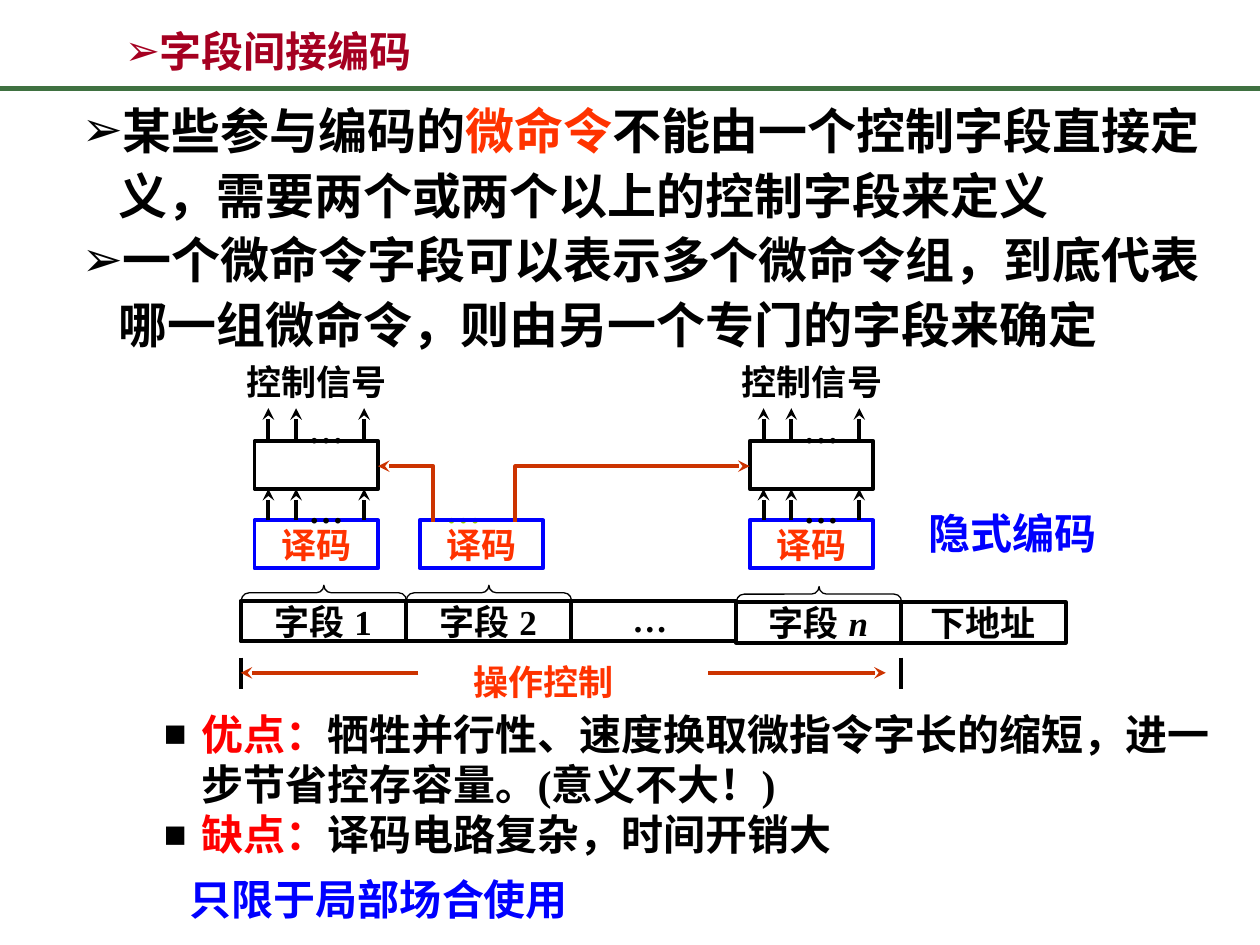
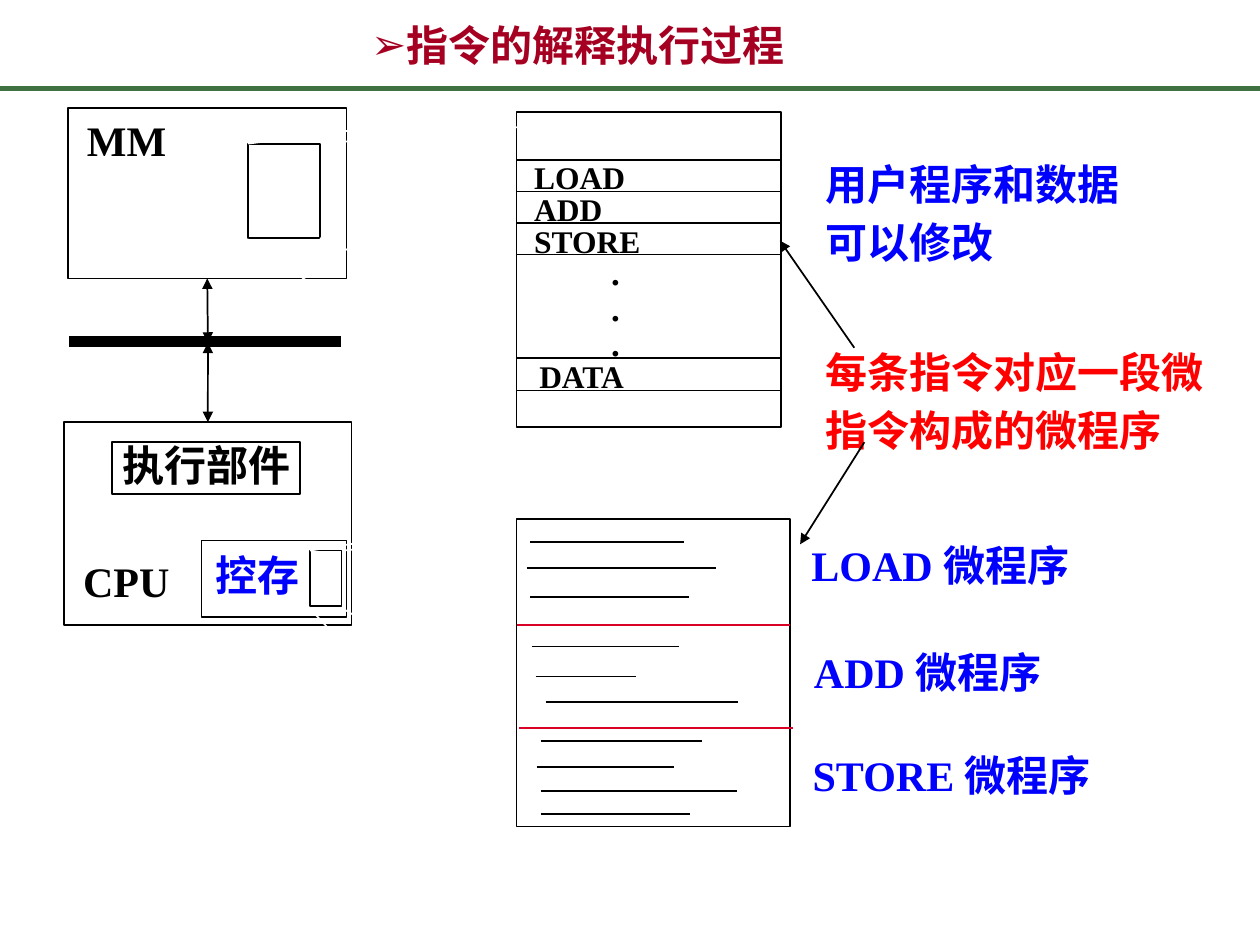
from dataclasses import dataclass

from lxml import etree
from pptx import Presentation
from pptx.dml.color import RGBColor
from pptx.enum.shapes import MSO_CONNECTOR, MSO_SHAPE
from pptx.enum.text import MSO_ANCHOR, MSO_AUTO_SIZE, PP_ALIGN
from pptx.oxml.ns import qn
from pptx.util import Inches, Pt

STRAIGHT = MSO_CONNECTOR.STRAIGHT
RECT, BRACE = MSO_SHAPE.RECTANGLE, MSO_SHAPE.LEFT_BRACE
TOP, MIDDLE = MSO_ANCHOR.TOP, MSO_ANCHOR.MIDDLE
LEFT, CENTER = PP_ALIGN.LEFT, PP_ALIGN.CENTER
NONE, GROW = MSO_AUTO_SIZE.NONE, MSO_AUTO_SIZE.SHAPE_TO_FIT_TEXT


@dataclass(frozen=True)
class Theme:
    """Colours, fonts, type sizes, line widths and insets."""
    black: str = "000000"
    white: str = "FFFFFF"
    blue: str = "0000FF"
    red: str = "FF0000"
    orange: str = "FF3300"
    rust: str = "CC3300"
    lime: str = "99CC00"
    crimson: str = "D90125"
    title: str = "A50021"
    band: str = "3F7141"
    serif: str = "Times New Roman"
    sans: str = "Arial"
    cjk: str = "Noto Sans CJK JP"
    lead: int = 28
    head: int = 24
    mid: int = 20
    small: int = 18
    thick: float = 2.25
    thin: float = 1
    wide: tuple = (0.1, 0.05)
    snug: tuple = (0.07, 0.03)


T = Theme()


def mark(para, char, hang=0.0, size=None):
    """Give a paragraph a bullet and a hanging indent."""
    props = para._p.get_or_add_pPr()
    props.set("marL", str(Inches(hang)))
    props.set("indent", str(-Inches(hang)))
    if size:
        tint = etree.SubElement(props, qn("a:buClr"))
        etree.SubElement(tint, qn("a:srgbClr"), val=T.black)
        etree.SubElement(props, qn("a:buSzPct"), val=str(size * 1000))
    etree.SubElement(props, qn("a:buFont"), typeface=T.sans)
    etree.SubElement(props, qn("a:buChar"), char=char)


def write(frame, paras, size, color=T.black, font=T.serif, space=None,
          align=LEFT, pad=T.wide, anchor=TOP, wrap=True, fit=NONE):
    """Fill a text frame with paragraphs of plain text or coloured runs."""
    frame.margin_left = frame.margin_right = Inches(pad[0])
    frame.margin_top = frame.margin_bottom = Inches(pad[1])
    frame.vertical_anchor, frame.word_wrap = anchor, wrap
    frame.auto_size = fit
    for i, parts in enumerate(paras):
        para = frame.add_paragraph() if i else frame.paragraphs[0]
        para.alignment = align
        para.space_before = Pt(0)
        if space:
            para.line_spacing = space
        for words, tint in [(parts, color)] if isinstance(parts, str) else parts:
            run = para.add_run()
            run.text = words
            run.font.size, run.font.bold = Pt(size), True
            run.font.color.rgb = RGBColor.from_string(tint)
            run.font.name = font
            etree.SubElement(run._r.rPr, qn("a:ea"), typeface=T.sans)


def label(slide, box, paras, size, color=T.black, wrap=False, **style):
    """Add a text box that grows with its text."""
    text = slide.shapes.add_textbox(*map(Inches, box))
    write(text.text_frame, paras, size, color, wrap=wrap, fit=GROW, **style)
    return text


def ink(shape, color, width):
    """Set the line of a shape without fill or shadow."""
    shape.shadow.inherit = False
    shape.fill.background()
    shape.line.color.rgb = RGBColor.from_string(color)
    shape.line.width = Pt(width)


def frame(slide, box, color=T.black, width=T.thin, kind=RECT):
    """Add an unfilled outline."""
    shape = slide.shapes.add_shape(kind, *map(Inches, box))
    ink(shape, color, width)
    return shape


def tip(shape, head=None, tail=None):
    """Put arrowheads on the ends of a line."""
    pen = shape.line._get_or_add_ln()
    for tag, kind in (("a:headEnd", head), ("a:tailEnd", tail)):
        if kind:
            etree.SubElement(pen, qn(tag), type=kind)


def rule(slide, ends, color=T.black, width=T.thin, head=None, tail=None):
    """Add a straight line from one point to another."""
    line = slide.shapes.add_connector(STRAIGHT, *map(Inches, ends))
    line.line.color.rgb = RGBColor.from_string(color)
    line.line.width = Pt(width)
    etree.SubElement(line.element.spPr, qn("a:effectLst"))
    tip(line, head, tail)
    return line


def place(shape, box):
    """Move a placeholder to a box."""
    shape.left, shape.top, shape.width, shape.height = map(Inches, box)


def title(slide, box, words, align, pad):
    """Place the slide title with its arrow bullet."""
    place(slide.shapes.title, box)
    text = slide.shapes.title.text_frame
    write(text, [words], T.head, T.title, T.sans, 0.87, align, pad)
    mark(text.paragraphs[0], "➢")


def band(prs, slide):
    """Draw the green rule and move it to the master."""
    line = rule(slide, (0, 0.7, 10, 0.7), T.band, 3)
    line.element.nvCxnSpPr.cNvPr.id = 99
    prs.slide_master.shapes.element.append(line.element)


def decoder(slide, x, y):
    """Add a blue decoder box."""
    box = frame(slide, (x, y, 0.98, 0.38), T.blue, T.thick)
    write(box.text_frame, ["译码"], T.mid, T.orange, align=CENTER,
          anchor=MIDDLE, wrap=False)


def stack(slide, x, y):
    """Draw control signals above a gate and its decoder."""
    label(slide, (x - 0.16, y, 1.33, 0.44), ["控制信号"], T.mid, wrap=True)
    frame(slide, (x, y + 0.69, 0.98, 0.38), width=T.thick)
    decoder(slide, x, y + 1.32)
    for base in (y + 0.68, y + 1.32):
        for dx in (0.11, 0.33, 0.87):
            rule(slide, (x + dx, base, x + dx, base - 0.25),
                 width=T.thick, tail="stealth")
        label(slide, (x + 0.33, base - 0.3, 0.48, 0.44), ["…"], T.mid)


def fields(slide, x, y, wide=1.31):
    """Draw the row of instruction fields with braces above."""
    names = ("字段 1", "字段 2", None, [("字段 ", T.black), ("n", T.black)], "下地址")
    for i, name in enumerate(names):
        left, top = x + i * wide, y + (0.01 if i > 2 else 0)
        box = frame(slide, (left, top, wide, 0.32), width=T.thick)
        if name:
            write(box.text_frame, [name], T.mid, align=CENTER,
                  anchor=MIDDLE, wrap=False)
        if i == 3:
            box.text_frame.paragraphs[0].runs[1].font.italic = True
        if i in (0, 1, 3):
            brace = frame(slide, (left + 0.6, top - 0.72, 0.12, wide),
                          width=0.75, kind=BRACE)
            brace.rotation = 90
            brace.adjustments[0] = brace.adjustments[1] = 0.5
    label(slide, (x + 3.01, y - 0.08, 0.48, 0.44), ["…"], T.mid)


def span(slide, x, y):
    """Mark the extent of the operation control part."""
    for dx in (0, 5.24):
        rule(slide, (x + dx, y, x + dx, y + 0.25), width=T.thick)
    for start, end in ((1.41, 0), (3.71, 5.12)):
        rule(slide, (x + start, y + 0.12, x + end, y + 0.12), T.rust,
             T.thick, tail="stealth")
    label(slide, (x + 1.75, y - 0.03, 1.32, 0.44), ["操作控制"], T.mid,
          T.orange, wrap=True)


def elbow(slide, x, y, end):
    """Draw a bent arrow up and then sideways."""
    start, low, high, stop = map(Inches, (x, y, y - 0.44, end))
    path = slide.shapes.build_freeform(start, low)
    path.add_line_segments([(start, high), (stop, high)], close=False)
    shape = path.convert_to_shape()
    ink(shape, T.rust, T.thick)
    tip(shape, tail="stealth")


def coding(slide):
    """Build the slide on indirect field coding."""
    title(slide, (0.89, 0.21, 5.51, 0.45), "字段间接编码", LEFT, T.wide)
    body = slide.placeholders[1]
    place(body, (0.55, 0.7, 9.14, 1.97))
    write(body.text_frame, [
        [("某些参与编码的", T.black), ("微命令", T.orange),
         ("不能由一个控制字段直接定义，需要两个或两个以上的控制字段来定义", T.black)],
        "一个微命令字段可以表示多个微命令组，到底代表哪一组微命令，则由另一个专门的字段来确定",
    ], T.lead, space=1.1)
    for para in body.text_frame.paragraphs:
        mark(para, "➢", 0.29)
    label(slide, (3.44, 3.83, 0.48, 0.43), ["…"], T.mid, T.lime)
    for x in (2.02, 5.95):
        stack(slide, x, 2.81)
    decoder(slide, 3.33, 4.13)
    fields(slide, 1.91, 4.77)
    span(slide, 1.91, 5.22)
    for x, end in ((3.44, 3), (4.09, 5.95)):
        elbow(slide, x, 4.14, end)
    notes = label(slide, (1.3, 5.62, 8.43, 1.21), [
        [("优点：", T.red),
         ("牺牲并行性、速度换取微指令字长的缩短，进一步节省控存容量。(意义不大！)", T.black)],
        [("缺点：", T.red), ("译码电路复杂，时间开销大", T.black)],
    ], T.head, wrap=True, pad=(0, 0))
    for para in notes.text_frame.paragraphs:
        mark(para, "■", 0.3, 90)
    for box, words in (((1.41, 6.88, 3.23, 0.51), "只限于局部场合使用"),
                       ((7.27, 3.98, 1.55, 0.51), "隐式编码")):
        label(slide, box, [words], T.head, T.blue, font=T.cjk)


def machine(slide, x, y):
    """Draw main memory, the bus and the processor."""
    store = frame(slide, (x + 0.03, y, 2.21, 1.35))
    frame(slide, (x + 1.46, y + 0.28, 0.57, 0.75))
    cpu = frame(slide, (x, y + 2.49, 2.28, 1.61))
    unit = frame(slide, (x + 0.38, y + 2.65, 1.49, 0.41))
    write(unit.text_frame, ["执行部件"], T.head, space=0.88, align=CENTER,
          pad=T.snug, anchor=MIDDLE, wrap=False)
    frame(slide, (x + 1.09, y + 3.43, 1.15, 0.61))
    frame(slide, (x + 1.95, y + 3.51, 0.25, 0.44))
    rule(slide, (x + 0.04, y + 1.85, x + 2.2, y + 1.85), width=6)
    for box, side, edge in ((store, 2, 1.35), (cpu, 0, 2.49)):
        link = rule(slide, (x + 1.14, y + edge, x + 1.14, y + 1.86),
                    head="triangle", tail="triangle")
        link.begin_connect(box, side)
    for dx, dy, wide, words, tint, space in (
            (0.11, 0.08, 0.77, "MM", T.black, 0.85),
            (0.08, 3.58, 0.83, "CPU", T.black, 0.85),
            (1.13, 3.52, 0.81, "控存", T.blue, 0.9)):
        label(slide, (x + dx, y + dy, wide, 0.4), [words], T.head, tint,
              space=space, pad=T.snug)


def memory(slide, x, y):
    """Draw the user program held in main memory."""
    frame(slide, (x, y, 2.1, 2.5))
    for dy in (0.38, 0.63, 0.88, 1.13, 1.95, 2.21):
        rule(slide, (x, y + dy, x + 2.09, y + dy))
    label(slide, (x + 0.07, y + 0.38, 1.87, 0.83), ["LOAD", "ADD", "STORE"],
          T.small, wrap=True, space=0.85, pad=T.snug)
    label(slide, (x + 0.11, y + 1.96, 0.82, 0.31), ["DATA"], T.small,
          space=0.85, pad=T.snug)
    label(slide, (x + 0.68, y + 1.12, 0.21, 0.91), ["."] * 3, T.mid,
          space=0.85, pad=T.snug)


def micro(slide, x, y):
    """Draw the microprograms held in control memory."""
    frame(slide, (x, y, 2.17, 2.44))
    for dx, dy in ((0, 0.84), (0.02, 1.66)):
        rule(slide, (x + dx, y + dy, x + dx + 2.17, y + dy), T.crimson)
    for dx, dy, wide in (
            (0.11, 0.18, 1.22), (0.08, 0.39, 1.5), (0.11, 0.62, 1.26),
            (0.12, 1.01, 1.17), (0.15, 1.25, 0.8), (0.23, 1.45, 1.53),
            (0.19, 1.76, 1.28), (0.16, 1.97, 1.09), (0.19, 2.16, 1.56),
            (0.19, 2.34, 1.19)):
        rule(slide, (x + dx, y + dy, x + dx + wide, y + dy))
    for dx, dy, name in ((2.27, 0.19, "LOAD"), (2.29, 1.04, "ADD"),
                         (2.28, 1.86, "STORE")):
        label(slide, (x + dx, y + dy, 2.36, 0.4), [f"{name} 微程序"], T.head,
              T.blue, wrap=True, space=0.85, pad=T.snug)


def running(slide):
    """Build the slide on how instructions are interpreted."""
    title(slide, (0.88, 0.18, 7.41, 0.41), "指令的解释执行过程", CENTER, T.snug)
    machine(slide, 0.51, 0.86)
    memory(slide, 4.1, 0.89)
    micro(slide, 4.1, 4.12)
    for ends in ((2.55, 1.14, 4.11, 1.01), (1.97, 1.14, 4.08, 0.87),
                 (2.54, 1.89, 4.08, 2.55), (1.97, 1.9, 4.08, 3.39),
                 (2.72, 4.37, 4.08, 4.25), (2.46, 4.37, 4.08, 4.11),
                 (2.72, 4.83, 4.08, 5.62), (2.46, 4.83, 4.08, 6.57)):
        rule(slide, ends, T.white)
    for box, paras, tint in (
            ((6.48, 1.17, 2.66, 0.98), ["用户程序和数据", "可以修改"], T.blue),
            ((6.48, 2.66, 3.29, 0.96), ["每条指令对应一段微指令构成的微程序"], T.red)):
        label(slide, box, paras, T.head, tint, wrap=True, space=1.15, pad=T.snug)
    for ends in ((6.78, 2.76, 6.19, 1.91), (6.86, 3.51, 6.35, 4.32)):
        rule(slide, ends, tail="triangle")


def main():
    """Build both slides and save them."""
    prs = Presentation()
    prs.slide_width, prs.slide_height = Inches(10), Inches(7.5)
    first = prs.slides.add_slide(prs.slide_layouts[1])
    band(prs, first)
    coding(first)
    running(prs.slides.add_slide(prs.slide_layouts[5]))
    prs.save("out.pptx")


if __name__ == "__main__":
    main()
